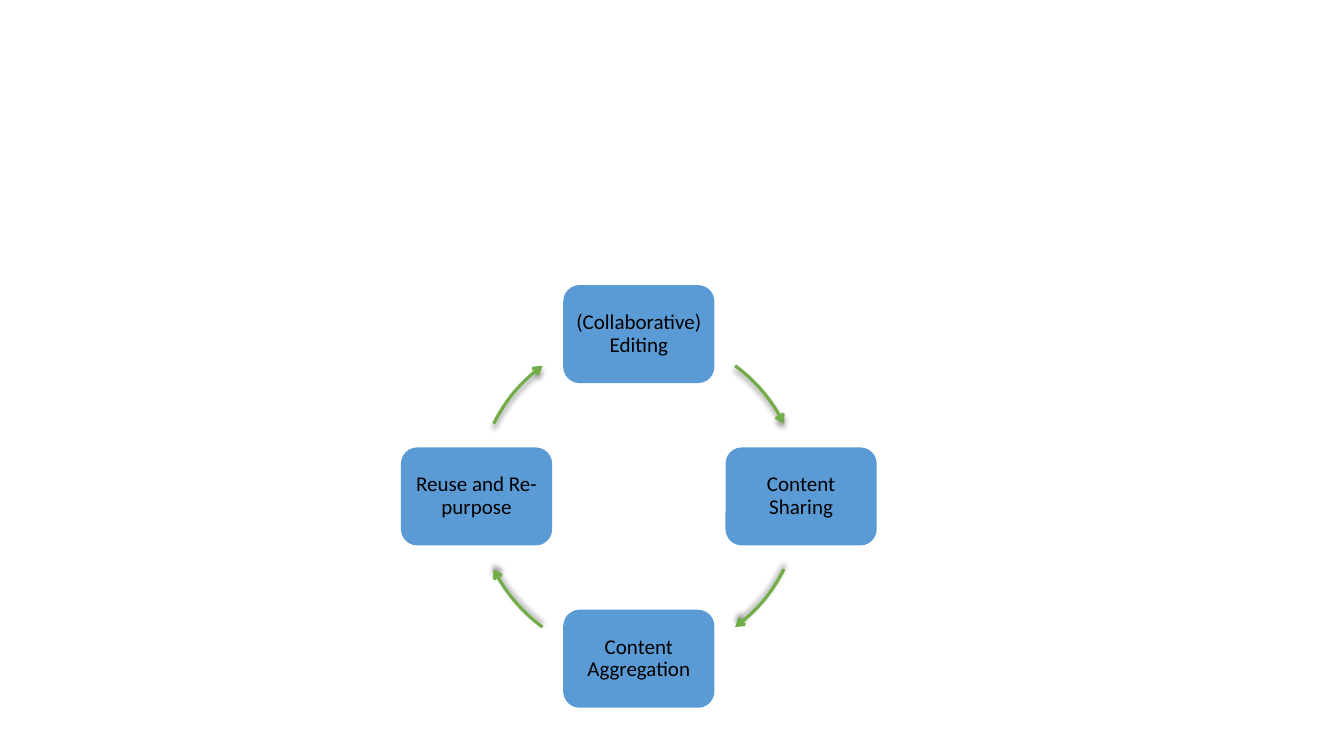
import math
from lxml import etree
from pptx import Presentation
from pptx import util as u
from pptx.dml.color import RGBColor
from pptx.enum import shapes, text
from pptx.oxml import ns

COLORS = {"box": "5B9BD5", "arrow": "70AD47", "text": "000000", "shadow": "000000"}
CENTER_X, CENTER_Y, RADIUS = 16.1, 12.51, 4.09
BOX_WIDTH, BOX_HEIGHT = 3.81, 2.47
ARROW_SWEEP = 27
STEPS = [
    ("(Collaborative) Editing", 306.4, 90),
    ("Content Sharing", 26.6, 270),
    ("Content Aggregation", 126.4, 270),
    ("Reuse and Re-purpose", 206.6, 90),
]


class CycleSlide:
    def __init__(self, slide, font="Calibri", size=15):
        self.slide = slide
        self.font = font
        self.size = size

    def color(self, name):
        return RGBColor.from_string(COLORS[name])

    def shape(self, kind, x, y, width, height):
        shape = self.slide.shapes.add_shape(
            kind, u.Cm(x - width / 2), u.Cm(y - height / 2), u.Cm(width), u.Cm(height))
        shape.shadow.inherit = False
        return shape

    def box(self, label, x, y):
        shape = self.shape(shapes.MSO_SHAPE.ROUNDED_RECTANGLE, x, y, BOX_WIDTH, BOX_HEIGHT)
        shape.fill.solid()
        shape.fill.fore_color.rgb = self.color("box")
        shape.line.fill.background()
        frame = shape.text_frame
        frame.text = label
        frame.word_wrap = True
        frame.vertical_anchor = text.MSO_ANCHOR.MIDDLE
        frame.margin_left = frame.margin_right = u.Cm(0.15)
        frame.margin_top = frame.margin_bottom = u.Cm(0.15)
        paragraph = frame.paragraphs[0]
        paragraph.alignment = text.PP_ALIGN.CENTER
        paragraph.line_spacing = 0.9
        font = paragraph.runs[0].font
        font.name = self.font
        font.size = u.Pt(self.size)
        font.color.rgb = self.color("text")

    def arc_arrow(self, start, shadow_angle):
        shape = self.shape(shapes.MSO_SHAPE.ARC, CENTER_X, CENTER_Y, 2 * RADIUS, 2 * RADIUS)
        for index, angle in enumerate((start, start + ARROW_SWEEP)):
            shape.adjustments[index] = angle * 0.6
        shape.fill.background()
        shape.line.color.rgb = self.color("arrow")
        shape.line.width = u.Pt(2.25)
        properties = shape.element.spPr
        etree.SubElement(properties.find(ns.qn("a:ln")), ns.qn("a:tailEnd"), type="arrow")
        shadow = etree.SubElement(
            properties.find(ns.qn("a:effectLst")), ns.qn("a:outerShdw"),
            blurRad=str(u.Pt(4)), dist=str(u.Pt(3)),
            dir=str(shadow_angle * 60000), rotWithShape="0")
        tint = etree.SubElement(shadow, ns.qn("a:srgbClr"), val=COLORS["shadow"])
        etree.SubElement(tint, ns.qn("a:alpha"), val="40000")


presentation = Presentation()
presentation.slide_width = u.Cm(33.87)
presentation.slide_height = u.Cm(19.05)
cycle = CycleSlide(presentation.slides.add_slide(presentation.slide_layouts[6]))

for index, (label, arrow_start, shadow_angle) in enumerate(STEPS):
    turn = math.radians(90 * index - 90)
    cycle.box(label, CENTER_X + RADIUS * math.cos(turn), CENTER_Y + RADIUS * math.sin(turn))
    cycle.arc_arrow(arrow_start, shadow_angle)

presentation.save("out.pptx")
